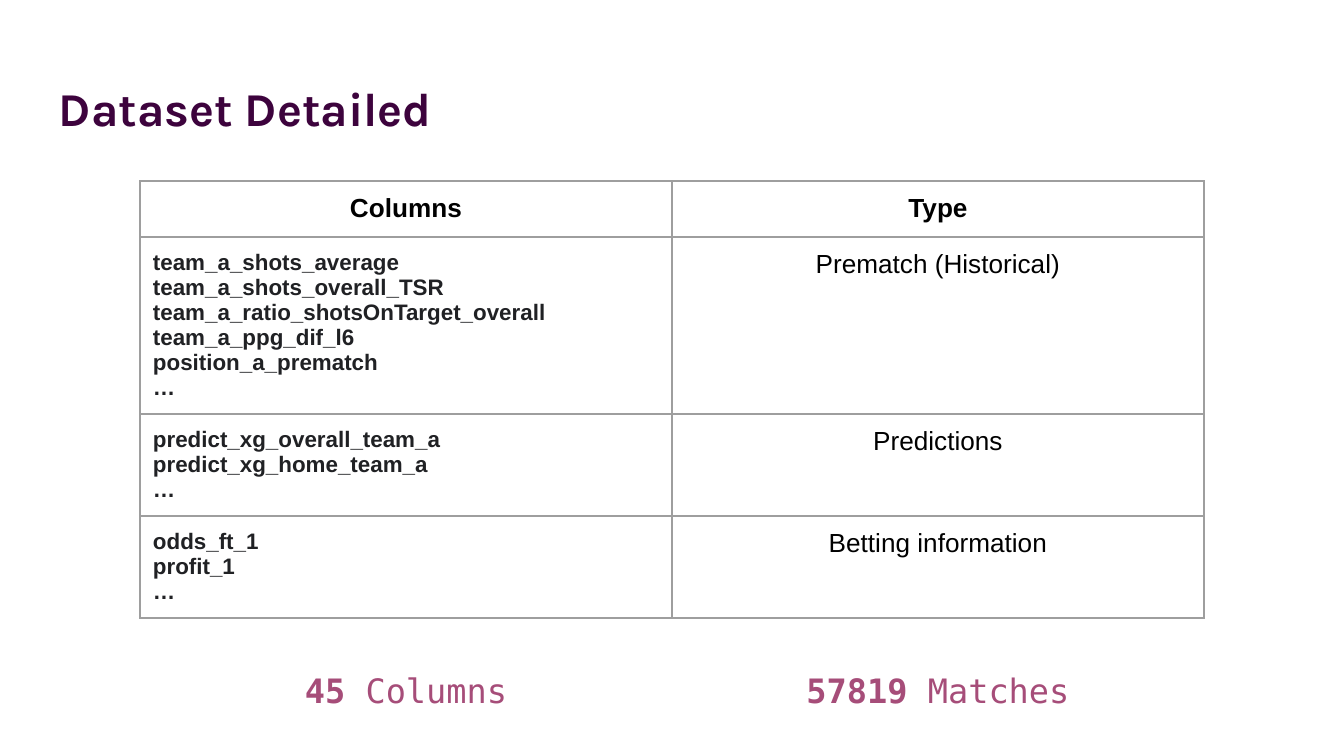
from pptx import Presentation
from pptx.dml.color import RGBColor
from pptx.enum.text import MSO_ANCHOR as Anchor, MSO_AUTO_SIZE as AutoSize, PP_ALIGN as Align
from pptx.oxml.ns import qn
from pptx.util import Emu, Pt
from lxml.etree import SubElement

COLORS = {"title": "3D033D", "text": "000000", "code": "202124",
          "border": "9E9E9E", "accent": "A64D79"}
EMU_PER_PX = 914400 / 134.4
INSET = 13


def px(length):
    return Emu(round(length * EMU_PER_PX))


class SlideBuilder:
    """Holds the style and the current slide, and adds each kind of element."""

    def __init__(self, presentation):
        self.slide = presentation.slides.add_slide(presentation.slide_layouts[5])

    def add_run(self, paragraph, text, size, color, bold=False, font="Arial"):
        run = paragraph.add_run()
        run.text = text
        run.font.name = font
        run.font.size = Pt(size)
        run.font.bold = bold
        run.font.color.rgb = RGBColor.from_string(COLORS[color])

    def set_frame(self, frame):
        frame.word_wrap = True
        frame.auto_size = AutoSize.NONE
        frame.vertical_anchor = Anchor.TOP
        frame.margin_left = frame.margin_right = px(INSET)
        frame.margin_top = frame.margin_bottom = px(INSET)

    def title(self, text, left, top, width, height):
        shape = self.slide.shapes.title
        shape.left, shape.top = px(left), px(top)
        shape.width, shape.height = px(width), px(height)
        self.set_frame(shape.text_frame)
        paragraph = shape.text_frame.paragraphs[0]
        paragraph.alignment = Align.LEFT
        self.add_run(paragraph, text, 25.2, "title", True, "Karla")

    def figure(self, runs, left, top, width, height):
        shape = self.slide.shapes.add_textbox(px(left), px(top), px(width), px(height))
        self.set_frame(shape.text_frame)
        paragraph = shape.text_frame.paragraphs[0]
        paragraph.alignment = Align.CENTER
        for text, bold in runs:
            self.add_run(paragraph, text, 18, "accent", bold, "DejaVu Sans Mono")

    def cell(self, cell, lines, size, color, bold, alignment):
        cell.margin_left = cell.margin_right = px(INSET)
        cell.margin_top = cell.margin_bottom = px(INSET)
        cell.vertical_anchor = Anchor.TOP
        frame = cell.text_frame
        for index, line in enumerate(lines):
            paragraph = frame.add_paragraph() if index else frame.paragraphs[0]
            paragraph.alignment = alignment
            self.add_run(paragraph, line, size, color, bold)
        properties = cell._tc.get_or_add_tcPr()
        for side in ("a:lnL", "a:lnR", "a:lnT", "a:lnB"):
            line = SubElement(properties, qn(side), w=str(Pt(0.75)))
            fill = SubElement(line, qn("a:solidFill"))
            SubElement(fill, qn("a:srgbClr"), val=COLORS["border"])
        cell.fill.background()

    def table(self, headers, rows, left, top, column_width, heights):
        table = self.slide.shapes.add_table(
            len(heights), len(headers), px(left), px(top),
            px(column_width * len(headers)), px(sum(heights))).table
        table.first_row = table.horz_banding = False
        for column in table.columns:
            column.width = px(column_width)
        for row, height in zip(table.rows, heights):
            row.height = px(height)
        for index, header in enumerate(headers):
            self.cell(table.cell(0, index), [header], 14, "text", True, Align.CENTER)
        for index, (names, kind) in enumerate(rows, 1):
            self.cell(table.cell(index, 0), names, 12, "code", True, Align.LEFT)
            self.cell(table.cell(index, 1), [kind], 14, "text", False, Align.CENTER)


def main():
    presentation = Presentation()
    presentation.slide_width, presentation.slide_height = px(1344), px(756)
    builder = SlideBuilder(presentation)
    builder.title("Dataset Detailed", 46, 66, 1253, 85)

    left, column_width = 140, 532
    rows = [
        (["team_a_shots_average", "team_a_shots_overall_TSR",
          "team_a_ratio_shotsOnTarget_overall", "team_a_ppg_dif_l6",
          "position_a_prematch", "…"], "Prematch (Historical)"),
        (["predict_xg_overall_team_a", "predict_xg_home_team_a", "…"], "Predictions"),
        (["odds_ft_1", "profit_1", "…"], "Betting information"),
    ]
    heights = [56] + [25 * len(names) + 27 for names, _ in rows]
    builder.table(["Columns", "Type"], rows, left, 181, column_width, heights)

    figures = [[("45", True), (" Columns", False)],
               [("57819 ", True), ("Matches", False)]]
    for index, runs in enumerate(figures):
        builder.figure(runs, left + index * column_width, 657, column_width, 78)
    presentation.save("out.pptx")


if __name__ == "__main__":
    main()
